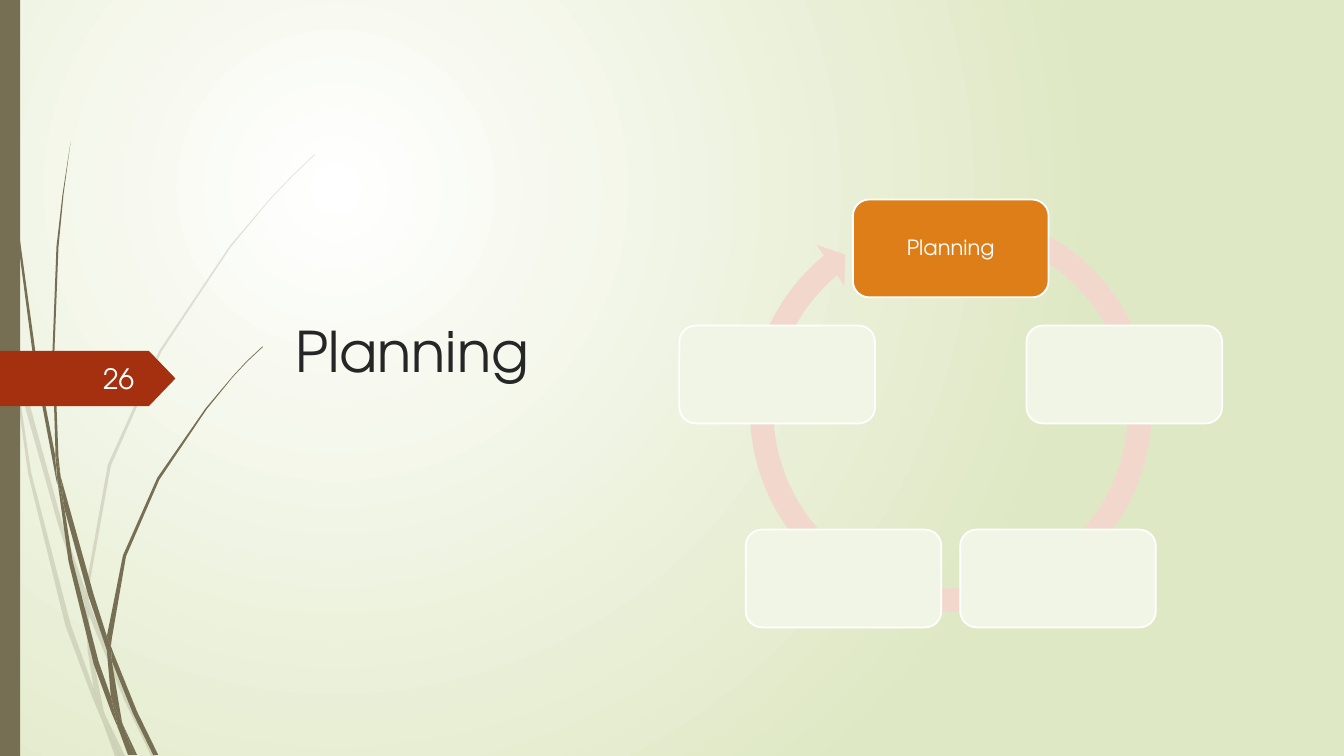
from dataclasses import dataclass
from math import cos, radians, sin

from pptx import Presentation
from pptx.dml.color import RGBColor
from pptx.enum.shapes import MSO_SHAPE
from pptx.enum.text import MSO_ANCHOR, PP_ALIGN
from pptx.oxml.ns import qn
from pptx.util import Inches, Pt
from lxml.etree import SubElement


@dataclass(frozen=True)
class Theme:
    font: str = "TeX Gyre Adventor"
    background: tuple = ("FFFFFF", "DFE8C4")
    grass: str = "766F54"
    badge: str = "A53010"
    title: str = "262626"
    number: str = "FEFFFF"
    active: str = "DE7E18"
    faded: str = "F1F5E5"
    arrow: str = "F2D8CC"
    white: str = "FFFFFF"
    title_size: int = 40
    number_size: int = 20
    node_size: int = 15


THEME = Theme()

# Outlines of the grass pieces, in inches
LIGHT_GRASS = [
    [(0.58, 5.22), (0.84, 5.99), (0.85, 5.86), (0.62, 5.2), (0.14, 3.45), (0.17, 3.76)],
    [(0.92, 6.07), (0.88, 5.96), (0.88, 6.1), (1.23, 6.94), (1.5, 7.5), (1.55, 7.5),
     (1.27, 6.92)],
    [(1.19, 7.5), (1.24, 7.5), (1.05, 7.11)],
    [(0.93, 6.83), (0.7, 6.19), (0.31, 4.69), (0.17, 3.76), (0.11, 3.5), (0.28, 4.7),
     (0.65, 6.21), (0.92, 6.93), (1.01, 7.14), (0.99, 7.07)],
    [(0.84, 5.99), (0.87, 6.46), (0.93, 6.83), (0.96, 6.92), (1.05, 7.11), (1.03, 7.06),
     (0.91, 6.46), (0.88, 6.1), (0.88, 6.08)],
    [(0.88, 5.84), (1.1, 4.62), (1.6, 3.49), (2.29, 2.45), (2.68, 1.98), (2.9, 1.75),
     (3.12, 1.54), (3.12, 1.53), (2.89, 1.75), (2.68, 1.97), (2.28, 2.44), (1.58, 3.48),
     (1.07, 4.61), (0.85, 5.84), (0.85, 5.86), (0.88, 5.96)],
    [(1.01, 7.14), (1.14, 7.5), (1.19, 7.5)],
    [(0.88, 6.08), (0.88, 6.1), (0.88, 5.96), (0.85, 5.86), (0.84, 5.99)],
    [(0.96, 6.92), (0.93, 6.83), (0.99, 7.07), (1.01, 7.14), (1.19, 7.5), (1.05, 7.11)],
]
DARK_GRASS = [
    [(0.07, 1.1), (0.17, 2.33), (0.33, 3.55), (0.56, 4.77), (0.57, 4.81), (0.55, 4.57),
     (0.55, 4.53), (0.36, 3.55), (0.19, 2.32), (0.08, 1.09), (0.05, 0.48), (0.04, 0),
     (0.03, 0), (0.04, 0.48)],
    [(0.88, 5.92), (1.06, 6.45), (1.06, 6.33), (1.06, 6.31), (0.93, 5.9), (0.6, 4.72),
     (0.64, 5.05)],
    [(1.13, 6.49), (1.1, 6.41), (1.11, 6.56), (1.32, 7.08), (1.52, 7.49), (1.57, 7.49),
     (1.36, 7.06)],
    [(1.1, 6.91), (0.98, 6.57), (0.72, 5.56), (0.64, 5.05), (0.57, 4.77), (0.68, 5.57),
     (0.93, 6.59), (1.11, 7.08), (1.17, 7.22), (1.16, 7.17)],
    [(0.6, 4.72), (0.58, 4.53), (0.54, 3.49), (0.58, 2.45), (0.63, 1.93), (0.7, 1.41),
     (0.62, 1.93), (0.56, 2.45), (0.52, 3.49), (0.55, 4.49)],
    [(1.33, 7.49), (1.36, 7.49), (1.22, 7.19)],
    [(0.57, 4.77), (0.64, 5.05), (0.6, 4.72), (0.55, 4.49), (0.55, 4.53)],
    [(1.11, 6.33), (1.25, 5.52), (1.58, 4.76), (2.05, 4.06), (2.31, 3.74), (2.45, 3.59),
     (2.61, 3.44), (2.6, 3.44), (2.45, 3.58), (2.31, 3.73), (2.04, 4.05), (1.56, 4.74),
     (1.22, 5.51), (1.06, 6.31), (1.1, 6.41)],
    [(1.17, 7.22), (1.27, 7.49), (1.31, 7.49)],
    [(1.06, 6.45), (1.1, 6.91), (1.16, 7.06), (1.22, 7.19), (1.21, 7.16), (1.11, 6.56),
     (1.09, 6.51)],
    [(1.06, 6.45), (1.09, 6.51), (1.11, 6.56), (1.1, 6.41), (1.06, 6.31), (1.06, 6.33)],
    [(1.16, 7.06), (1.1, 6.91), (1.16, 7.17), (1.17, 7.22), (1.3, 7.49), (1.33, 7.49),
     (1.22, 7.19)],
]


def paint(shape, color, line=None):
    shape.shadow.inherit = False
    shape.fill.solid()
    shape.fill.fore_color.rgb = RGBColor.from_string(color)
    if line:
        shape.line.color.rgb = RGBColor.from_string(line)
        shape.line.width = Pt(1.25)
    else:
        shape.line.fill.background()


def write(shape, text, size, color, anchor, align):
    frame = shape.text_frame
    frame.word_wrap = True
    frame.vertical_anchor = anchor
    paragraph = frame.paragraphs[0]
    paragraph.alignment = align
    run = paragraph.add_run()
    run.text = text
    run.font.name = THEME.font
    run.font.size = Pt(size)
    run.font.color.rgb = RGBColor.from_string(color)


def set_background(slide):
    """Radial gradient that starts in the upper left quarter."""
    fill = slide.background.fill
    fill.gradient()
    for stop, color in zip(fill.gradient_stops, THEME.background):
        stop.color.rgb = RGBColor.from_string(color)
    gradient = slide.element.find(".//" + qn("a:gradFill"))
    gradient.remove(gradient.find(qn("a:lin")))
    circle = SubElement(gradient, qn("a:path"), path="circle")
    SubElement(circle, qn("a:fillToRect"), l="50000", t="50000", r="100000", b="100000")


def add_grass_piece(slide, outline, opacity):
    points = [(Inches(x), Inches(y)) for x, y in outline]
    builder = slide.shapes.build_freeform(*points[0])
    builder.add_line_segments(points[1:], close=True)
    piece = builder.convert_to_shape()
    paint(piece, THEME.grass)
    if opacity < 100:
        color = piece.element.spPr.find(".//" + qn("a:srgbClr"))
        SubElement(color, qn("a:alpha"), val=str(opacity * 1000))


def add_grass(slide, bar_width, bar_height):
    for outlines, opacity in ((LIGHT_GRASS, 20), (DARK_GRASS, 100)):
        for outline in outlines:
            add_grass_piece(slide, outline, opacity)
    bar = slide.shapes.add_shape(MSO_SHAPE.RECTANGLE, 0, 0,
                                 Inches(bar_width), Inches(bar_height))
    paint(bar, THEME.grass)


def add_page_badge(slide, left, top, width, height, number):
    badge = slide.shapes.add_shape(MSO_SHAPE.PENTAGON, Inches(left), Inches(top),
                                   Inches(width), Inches(height))
    badge.adjustments[0] = 0.48
    paint(badge, THEME.badge)
    label = slide.shapes.add_textbox(Inches(left + 0.58), Inches(top + 0.07),
                                     Inches(0.85), Inches(0.4))
    write(label, number, THEME.number_size, THEME.number, MSO_ANCHOR.MIDDLE, PP_ALIGN.RIGHT)


def add_title(slide, left, top, width, height, text):
    title = slide.shapes.add_textbox(Inches(left), Inches(top), Inches(width), Inches(height))
    write(title, text, THEME.title_size, THEME.title, MSO_ANCHOR.BOTTOM, PP_ALIGN.LEFT)


def add_cycle(slide, left, top, size, phase_count, first_phase):
    """Round arrow with evenly spaced phases, of which only the first stands out."""
    arrow = slide.shapes.add_shape(MSO_SHAPE.CIRCULAR_ARROW, Inches(left), Inches(top),
                                   Inches(size), Inches(size))
    for index, value in enumerate([0.055, 3.307, 138.3, 173.532, 0.058]):
        arrow.adjustments[index] = value
    paint(arrow, THEME.arrow)

    node_width, node_height, radius = 1.94, 0.97, 1.81
    center_x = left + size / 2
    center_y = top + 0.02 + node_height / 2 + radius
    for index in range(phase_count):
        angle = radians(360 / phase_count * index)
        node = slide.shapes.add_shape(
            MSO_SHAPE.ROUNDED_RECTANGLE,
            Inches(center_x + radius * sin(angle) - node_width / 2),
            Inches(center_y - radius * cos(angle) - node_height / 2),
            Inches(node_width), Inches(node_height))
        paint(node, THEME.faded if index else THEME.active, THEME.white)
        if index == 0:
            write(node, first_phase, THEME.node_size, THEME.white,
                  MSO_ANCHOR.MIDDLE, PP_ALIGN.CENTER)
            node.text_frame.paragraphs[0].line_spacing = 0.9


def main():
    presentation = Presentation()
    presentation.slide_width = Inches(13.33)
    presentation.slide_height = Inches(7.5)
    slide = presentation.slides.add_slide(presentation.slide_layouts[6])
    set_background(slide)
    add_grass(slide, 0.2, 7.5)
    add_page_badge(slide, 0, 3.48, 1.74, 0.55, "26")
    add_title(slide, 2.83, 2.25, 9.75, 1.61, "Planning")
    add_cycle(slide, 7.31, 1.96, 4.24, 5, "Planning")
    presentation.save("out.pptx")


if __name__ == "__main__":
    main()
